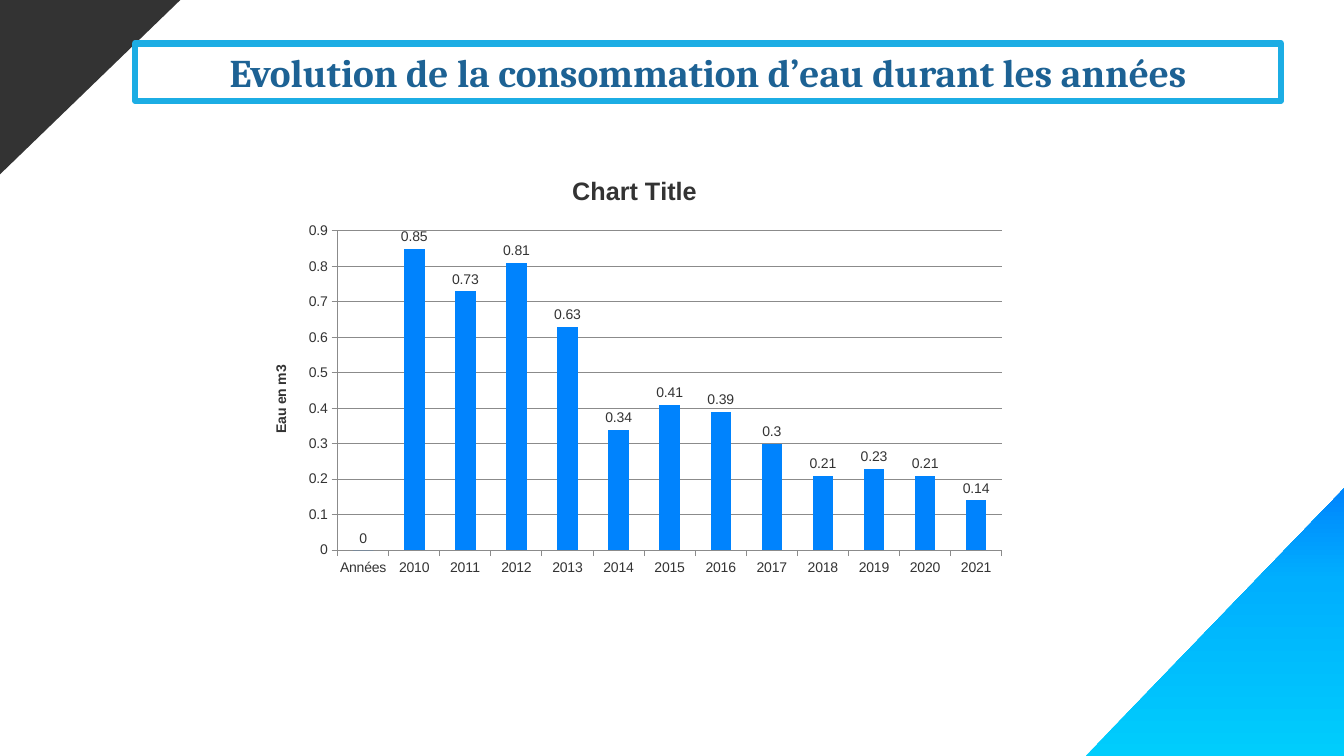
import lxml.etree
import pptx
import pptx.chart.data
import pptx.dml.color
import pptx.enum.chart
import pptx.enum.shapes
import pptx.enum.text
import pptx.oxml
import pptx.oxml.ns
import pptx.util

Pt = pptx.util.Pt
qn = pptx.oxml.ns.qn
colors = {
    "white": "FFFFFF",
    "dark": "333333",
    "frame": "1CADE4",
    "heading": "1D6294",
    "bar": "0083FD",
    "middle": "00AFFE",
    "light": "00CDFC",
    "grid": "8B8B8B",
}


def rgb(name):
    return pptx.dml.color.RGBColor.from_string(colors[name])


def write(frame, text, size, color="dark", font="Arial", gap=0):
    paragraph = frame.paragraphs[0]
    paragraph.alignment = pptx.enum.text.PP_ALIGN.CENTER
    paragraph.space_before = paragraph.space_after = Pt(gap)
    run = paragraph.add_run()
    run.text = text
    run.font.size = Pt(size)
    run.font.name = font
    run.font.bold = True
    run.font.color.rgb = rgb(color)


deck = pptx.Presentation()
deck.slide_width, deck.slide_height = Pt(960), Pt(540)
slide = deck.slides.add_slide(deck.slide_layouts[6])
shapes = slide.shapes

corner_outline = shapes.build_freeform(Pt(0), Pt(-0.7))
corner_outline.add_line_segments([(Pt(0), Pt(124.6)), (Pt(129.6), Pt(-0.7))])
dark_corner = corner_outline.convert_to_shape()
dark_corner.fill.solid()
dark_corner.fill.fore_color.rgb = rgb("dark")

blue_corner = shapes.add_shape(
    pptx.enum.shapes.MSO_SHAPE.RIGHT_TRIANGLE, Pt(775.5), Pt(347), Pt(186.5), Pt(193))
blue_corner.fill.gradient()
blue_corner.fill.gradient_angle = 90
blue_corner._element.spPr.find(qn("a:xfrm")).set("flipH", "1")
stops = blue_corner._element.spPr.find(qn("a:gradFill")).find(qn("a:gsLst"))
for stop in list(stops):
    stops.remove(stop)
for percent, name in ((0, "light"), (65, "middle"), (100, "bar")):
    stop = lxml.etree.SubElement(stops, qn("a:gs"), pos=str(percent * 1000))
    lxml.etree.SubElement(stop, qn("a:srgbClr"), val=colors[name])

for corner in (dark_corner, blue_corner):
    corner.line.fill.background()
    corner.shadow.inherit = False

heading = shapes.add_shape(
    pptx.enum.shapes.MSO_SHAPE.RECTANGLE, Pt(96.5), Pt(31), Pt(818.5), Pt(41))
heading.shadow.inherit = False
heading.fill.solid()
heading.fill.fore_color.rgb = rgb("white")
heading.line.color.rgb = rgb("frame")
heading.line.width = Pt(4.5)
heading.text_frame.word_wrap = True
heading.text_frame.vertical_anchor = pptx.enum.text.MSO_ANCHOR.MIDDLE
write(heading.text_frame, "Evolution de la consommation d’eau durant les années",
      size=28, color="heading", font="Cambria", gap=6)

consumption = pptx.chart.data.CategoryChartData()
consumption.categories = ["Années"] + [str(year) for year in range(2010, 2022)]
consumption.add_series("Series 1", [
    0, 0.85, 0.73, 0.81, 0.63, 0.34, 0.41, 0.39, 0.3, 0.21, 0.23, 0.21, 0.14])
chart = shapes.add_chart(
    pptx.enum.chart.XL_CHART_TYPE.COLUMN_CLUSTERED,
    Pt(180), Pt(111.5), Pt(546.5), Pt(306), consumption).chart
chart.has_legend = False
chart.font.size = Pt(10)
chart.font.name = "Arial"
chart.font.color.rgb = rgb("dark")
chart.has_title = True
write(chart.chart_title.text_frame, "Chart Title", size=18)
chart.chart_title.include_in_layout = False

years, volume = chart.category_axis, chart.value_axis
volume.minimum_scale, volume.maximum_scale, volume.major_unit = 0, 0.9, 0.1
volume.has_title = True
write(volume.axis_title.text_frame, "Eau en m3", size=10)
volume.has_major_gridlines = True
volume.tick_labels.number_format = "General"
volume.tick_labels.number_format_is_linked = False
for axis in (years, volume):
    axis.major_tick_mark = pptx.enum.chart.XL_TICK_MARK.OUTSIDE
for line in (years.format.line, volume.format.line, volume.major_gridlines.format.line):
    line.color.rgb = rgb("grid")
    line.width = Pt(0.75)

plot = chart.plots[0]
plot.gap_width = 150
plot.vary_by_categories = False
bars = plot.series[0]
bars.format.fill.solid()
bars.format.fill.fore_color.rgb = rgb("bar")
labels = bars.data_labels
labels.show_value = True
labels.position = pptx.enum.chart.XL_LABEL_POSITION.OUTSIDE_END
labels.font.size = Pt(10)
labels.font.name = "Arial"
labels.font.color.rgb = rgb("dark")

plot_area = chart._chartSpace.chart.plotArea
for old_layout in plot_area.findall(qn("c:layout")):
    plot_area.remove(old_layout)
layout = lxml.etree.Element(qn("c:layout"))
plot_area.insert(0, layout)
manual = lxml.etree.SubElement(layout, qn("c:manualLayout"))
for tag, value in (("layoutTarget", "inner"), ("xMode", "edge"), ("yMode", "edge"),
                   ("x", "0.112"), ("y", "0.175"), ("w", "0.868"), ("h", "0.745")):
    lxml.etree.SubElement(manual, qn("c:" + tag), val=value)

deck.save("out.pptx")
